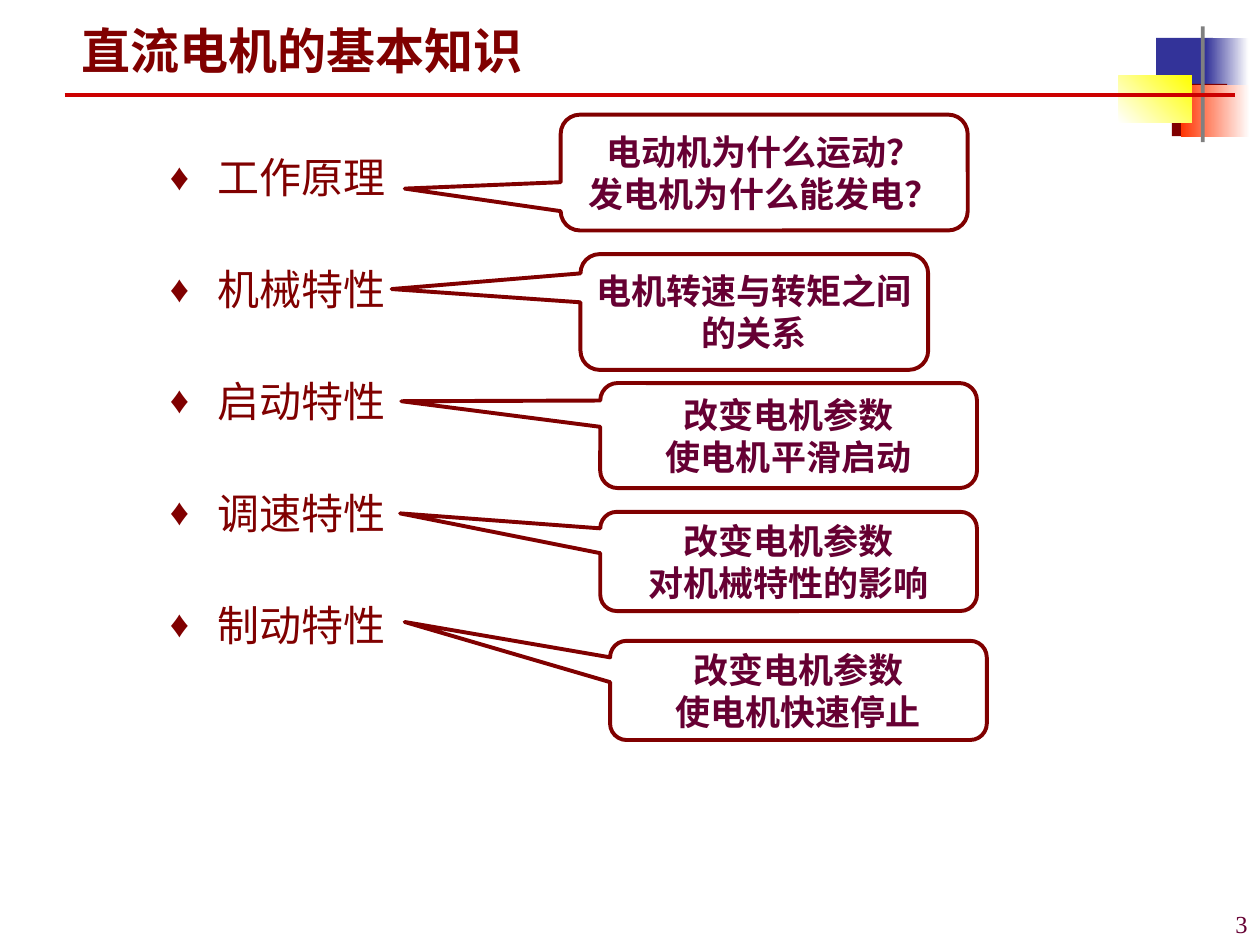
from pptx import Presentation
from pptx.dml.color import RGBColor
from pptx.enum.shapes import MSO_CONNECTOR, MSO_SHAPE
from pptx.enum.text import MSO_ANCHOR, PP_ALIGN
from pptx.oxml.ns import qn
from pptx.util import Pt
from lxml import etree

RECT, CALLOUT = MSO_SHAPE.RECTANGLE, MSO_SHAPE.ROUNDED_RECTANGULAR_CALLOUT
STRAIGHT = MSO_CONNECTOR.STRAIGHT
LEFT, CENTER, RIGHT = PP_ALIGN.LEFT, PP_ALIGN.CENTER, PP_ALIGN.RIGHT
TOP, MIDDLE, BOTTOM = MSO_ANCHOR.TOP, MSO_ANCHOR.MIDDLE, MSO_ANCHOR.BOTTOM

FONT = "Times New Roman"
COLORS = {
    "maroon": "800000", "plum": "660033", "rule": "CC0000", "white": "FFFFFF",
    "blue": "333399", "orange": "FF3300", "yellow": "FFFF00", "gray": "808080",
}

TITLE = "直流电机的基本知识"
PAGE_NUMBER = "3"

# topic, callout lines, callout box (left, top, width, height), pointer tip
TOPICS = [
    ("工作原理", ["电动机为什么运动？", "发电机为什么能发电？"],
     (320.4, 65.5, 232.6, 66.2), (231.3, 107.8)),
    ("机械特性", ["电机转速与转矩之间", "的关系"],
     (331.7, 145.2, 198.7, 66.2), (223.8, 165.2)),
    ("启动特性", ["改变电机参数", "使电机平滑启动"],
     (343, 218.9, 215.3, 60), (229.3, 229.3)),
    ("调速特性", ["改变电机参数", "对机械特性的影响"],
     (343, 292.5, 215.3, 56.7), (228.6, 293.4)),
    ("制动特性", ["改变电机参数", "使电机快速停止"],
     (348.6, 366.2, 215.3, 56.7), (231.2, 355.4)),
]

# box, colours (two make a gradient), gradient angle
ORNAMENT = [
    ((660.7, 21.6, 32.4, 29.5), ["blue"], 0),
    ((689, 21.6, 24.5, 29.5), ["blue", "white"], 0),
    ((669.6, 47.9, 31.7, 30), ["maroon"], 0),
    ((674.6, 48.5, 39.6, 29.7), ["orange", "white"], 0),
    ((639.2, 43.4, 41.8, 26.8), ["white", "yellow"], 45),
    ((686.2, 15.1, 2.2, 66.2), ["gray"], 0),
]


def rgb(name):
    return RGBColor.from_string(COLORS[name])


def points(values):
    return [Pt(value) for value in values]


def write(frame, lines, *, size, color="plum", bold=False, align=LEFT,
          anchor=TOP, wrap=True, spacing=1.0, gap=0, bullet=None):
    frame.word_wrap = wrap
    frame.vertical_anchor = anchor
    frame.margin_left = frame.margin_right = Pt(7.2)
    frame.margin_top = frame.margin_bottom = Pt(3.6)
    for index, line in enumerate(lines):
        para = frame.add_paragraph() if index else frame.paragraphs[0]
        if bullet:
            add_bullet(para, bullet, color)
        para.alignment = align
        para.line_spacing = spacing
        para.space_before = Pt(gap if index else 0)
        span = para.add_run()
        span.text = line
        span.font.name = FONT
        span.font.size = Pt(size)
        span.font.bold = bold
        span.font.color.rgb = rgb(color)


def add_bullet(para, symbol, color):
    """Give the paragraph a hanging coloured bullet at 90% of the text size."""
    props = para._p.get_or_add_pPr()
    props.set("marL", str(Pt(27)))
    props.set("indent", str(Pt(-27)))
    tint = etree.SubElement(props, qn("a:buClr"))
    etree.SubElement(tint, qn("a:srgbClr"), val=COLORS[color])
    etree.SubElement(props, qn("a:buSzPct"), val="90000")
    etree.SubElement(props, qn("a:buFont"), typeface=FONT)
    etree.SubElement(props, qn("a:buChar"), char=symbol)


def add_ornament(page):
    for box, names, angle in ORNAMENT:
        block = page.shapes.add_shape(RECT, *points(box))
        block.shadow.inherit = False
        block.line.fill.background()
        if len(names) == 1:
            block.fill.solid()
            block.fill.fore_color.rgb = rgb(names[0])
        else:
            block.fill.gradient()
            block.fill.gradient_angle = angle
            for stop, name in zip(block.fill.gradient_stops, names):
                stop.color.rgb = rgb(name)


def add_rule(page):
    rule = page.shapes.add_connector(STRAIGHT, *points((37, 54.5, 705.6, 54.5)))
    rule.line.color.rgb = rgb("rule")
    rule.line.width = Pt(2.25)
    etree.SubElement(rule._element.spPr, qn("a:effectLst"))


def add_callout(page, lines, box, tip):
    left, top, width, height = box
    callout = page.shapes.add_shape(CALLOUT, *points(box))
    callout.shadow.inherit = False
    callout.fill.solid()
    callout.fill.fore_color.rgb = rgb("white")
    callout.line.color.rgb = rgb("maroon")
    callout.line.width = Pt(2.25)
    callout.adjustments[0] = (tip[0] - left) / width - 0.5
    callout.adjustments[1] = (tip[1] - top) / height - 0.5
    write(callout.text_frame, lines, size=20, bold=True, align=CENTER,
          anchor=MIDDLE, wrap=False)


def main():
    deck = Presentation()
    deck.slide_width, deck.slide_height = Pt(720), Pt(540)
    page = deck.slides.add_slide(deck.slide_layouts[5])

    add_ornament(page)
    add_rule(page)

    title = page.shapes.title
    title.left, title.top, title.width, title.height = points((39.6, 7.9, 280, 41))
    write(title.text_frame, [TITLE], size=28, color="maroon", bold=True)

    topics = page.shapes.add_textbox(*points((90, 86.4, 246.2, 414)))
    write(topics.text_frame, [topic[0] for topic in TOPICS], size=24,
          color="maroon", spacing=0.9, gap=38, bullet="♦")

    for _, lines, box, tip in TOPICS:
        add_callout(page, lines, box, tip)

    number = page.shapes.add_textbox(*points((570.2, 504, 149.8, 36)))
    write(number.text_frame, [PAGE_NUMBER], size=14, align=RIGHT,
          anchor=BOTTOM, spacing=0.9)

    deck.save("out.pptx")


if __name__ == "__main__":
    main()
